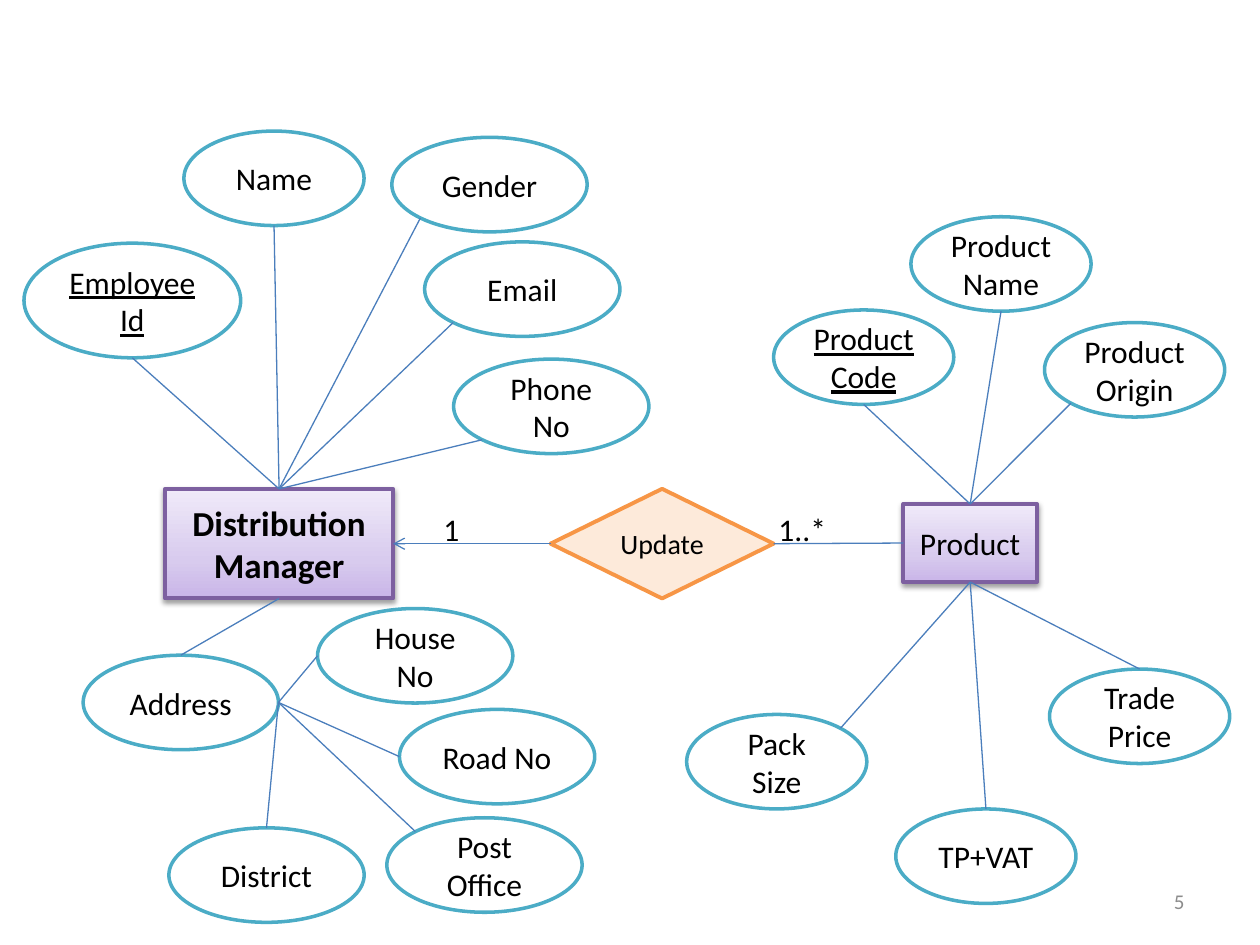
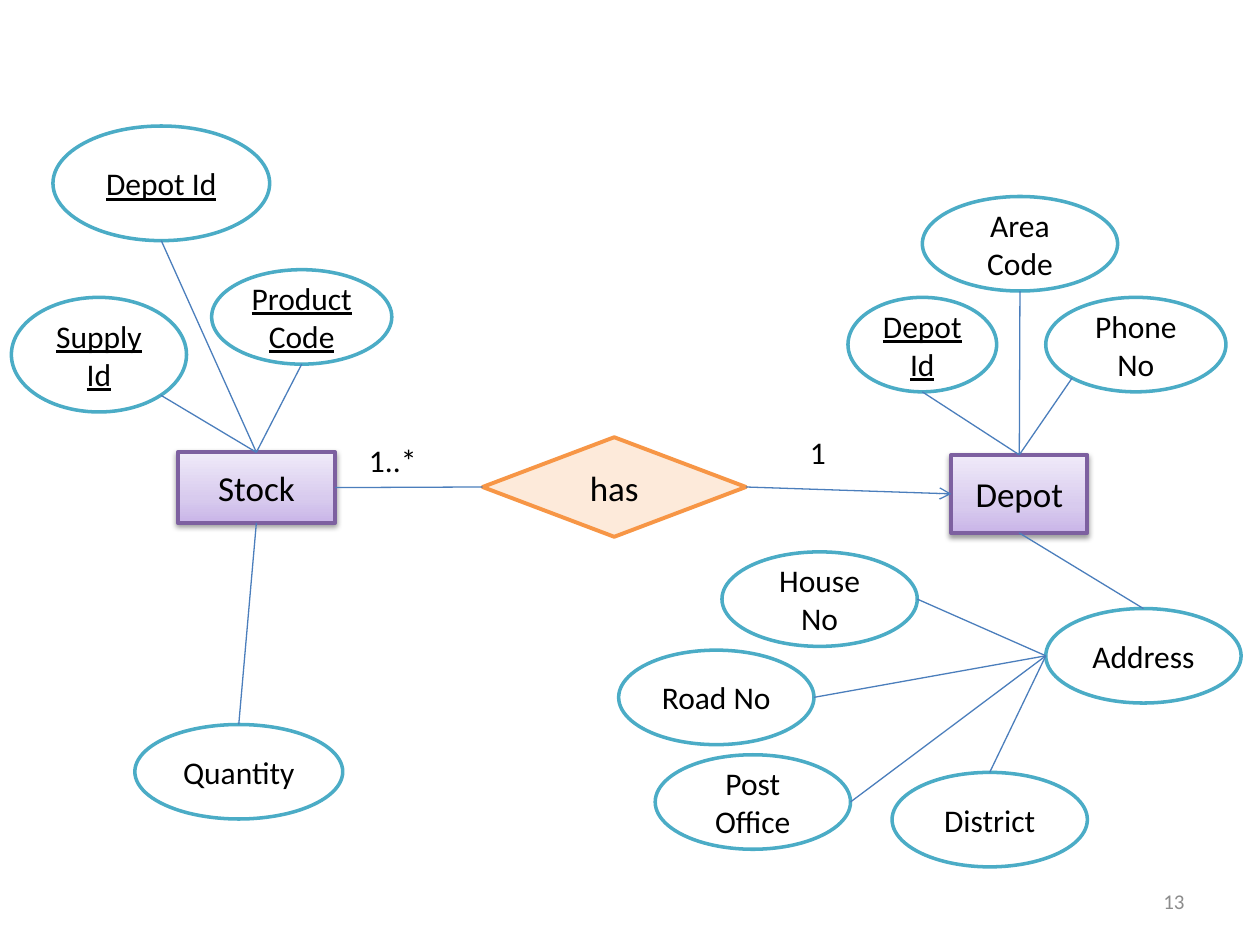
from lxml import etree
from pptx import Presentation
from pptx import util as u
from pptx.dml.color import RGBColor
from pptx.enum import shapes, text
from pptx.oxml import ns

FONT = "Calibri"
INK, GREY = "000000", "8C8C8C"
TEAL, BLUE = "4BACC6", "4B7EBC"
ORANGE, PEACH = "F79646", "FDEADA"
PURPLE, WHITE = "7D60A0", "FFFFFF"
FADE = [(0, "C9B5E8"), (35, "D8CBEE"), (100, "F0EAF9")]
SHAPE, ALIGN = shapes.MSO_SHAPE, text.PP_ALIGN
MID, TOP = text.MSO_ANCHOR.MIDDLE, text.MSO_ANCHOR.TOP

DIAG = 0.5 ** 0.5
SIDES = {"N": (0, -1), "S": (0, 1), "W": (-1, 0), "E": (1, 0),
         "NW": (-DIAG, -DIAG), "NE": (DIAG, -DIAG),
         "SW": (-DIAG, DIAG), "SE": (DIAG, DIAG)}


def color(code):
    return RGBColor.from_string(code)


def child(node, tag, **attrs):
    return etree.SubElement(node, ns.qn(tag), {k: str(v) for k, v in attrs.items()})


def write(item, words, size, align=ALIGN.CENTER, ink=INK, anchor=MID,
          bold=False, under=False):
    frame = item.text_frame
    frame.word_wrap = True
    frame.vertical_anchor = anchor
    para = frame.paragraphs[0]
    para.alignment = align
    run = para.add_run()
    run.text = words
    font = run.font
    font.name, font.size = FONT, u.Pt(size)
    font.bold, font.underline = bold, under
    font.color.rgb = color(ink)


def shape(slide, kind, area, edge, width, fill=None):
    item = slide.shapes.add_shape(kind, *map(u.Inches, area))
    item.shadow.inherit = False
    item.line.color.rgb = color(edge)
    item.line.width = u.Pt(width)
    if fill:
        item.fill.solid()
        item.fill.fore_color.rgb = color(fill)
    return item


def label(slide, words, area, size=18, **style):
    box = slide.shapes.add_textbox(*map(u.Inches, area))
    write(box, words, size, **style)


def count(slide, words, x, y):
    """Cardinality beside a relation line."""
    label(slide, words, (x, y, 0.67, 0.4), align=ALIGN.LEFT, anchor=TOP)


def entity(slide, words, area, size=20, bold=False):
    """Box with a purple fade and a soft shadow."""
    box = shape(slide, SHAPE.RECTANGLE, area, PURPLE, 2.25)
    box.fill.gradient()
    box.fill.gradient_angle = 90
    props = box._element.spPr
    stops = props.find(".//" + ns.qn("a:gsLst"))
    for stop in list(stops):
        stops.remove(stop)
    for pos, code in FADE:
        child(child(stops, "a:gs", pos=pos * 1000), "a:srgbClr", val=code)
    shade = child(props.find(ns.qn("a:effectLst")), "a:outerShdw", blurRad=u.Pt(3.1),
                  dist=u.Pt(1.6), dir=5400000, rotWithShape=0)
    child(child(shade, "a:srgbClr", val=INK), "a:alpha", val=38000)
    write(box, words, size, bold=bold)
    return box


def relate(slide, words, area, size):
    """Diamond that names a relation."""
    gem = shape(slide, SHAPE.FLOWCHART_DECISION, area, ORANGE, 2.25, PEACH)
    write(gem, words, size)
    return gem


def point(item, side):
    """Spot on the outline; diagonal sides suit ovals."""
    dx, dy = SIDES[side]
    return (round(item.left + item.width * (1 + dx) / 2),
            round(item.top + item.height * (1 + dy) / 2))


def link(slide, start, out, end, into, arrow=False):
    line = slide.shapes.add_connector(shapes.MSO_CONNECTOR.STRAIGHT,
                                      *point(start, out), *point(end, into))
    line.line.color.rgb = color(BLUE)
    line.line.width = u.Pt(0.75)
    if arrow:
        child(line.line._get_or_add_ln(), "a:tailEnd", type="arrow")
    child(line._element.spPr, "a:effectLst")


def field(slide, host, into, words, x, y, out, w=1.55, h=0.75, key=False):
    """Attribute oval, tied to its host; keys are underlined."""
    oval = shape(slide, SHAPE.OVAL, (x, y, w, h), TEAL, 2, WHITE)
    write(oval, words, 18, under=key)
    link(slide, oval, out, host, into)
    return oval


def start(deck, number):
    slide = deck.slides.add_slide(deck.slide_layouts[6])
    label(slide, number, (7.17, 6.95, 2.33, 0.4), 12, align=ALIGN.RIGHT, ink=GREY)
    return slide


def update(deck):
    slide = start(deck, "5")
    boss = entity(slide, "Distribution Manager", (1.31, 3.88, 1.81, 0.87), bold=True)
    gem = relate(slide, "Update", (4.37, 3.88, 1.77, 0.87), 16)
    goods = entity(slide, "Product", (7.17, 4, 1.06, 0.62), 18)
    link(slide, goods, "W", gem, "E")
    link(slide, gem, "W", boss, "E", arrow=True)

    field(slide, goods, "N", "Product Code", 6.14, 2.46, "S", 1.43, key=True)
    for into, words, x, y, out in [
            ("N", "Product Name", 7.23, 1.72, "S"),
            ("N", "Product Origin", 8.29, 2.56, "SW"),
            ("S", "Pack Size", 5.45, 5.67, "NE"),
            ("S", "Trade Price", 8.33, 5.31, "N"),
            ("S", "TP+VAT", 7.11, 6.42, "N")]:
        field(slide, goods, into, words, x, y, out, 1.43)

    field(slide, boss, "N", "Employee Id", 0.19, 1.93, "S", 1.72, 0.91, key=True)
    field(slide, boss, "N", "Name", 1.46, 1.04, "S", 1.43)
    for words, x, y in [("Phone No", 3.6, 2.85), ("Email", 3.37, 1.92),
                        ("Gender", 3.11, 1.09)]:
        field(slide, boss, "N", words, x, y, "SW")

    home = field(slide, boss, "S", "Address", 0.66, 5.2, "N")
    for words, x, y, out in [
            ("House No", 2.52, 4.83, "W"), ("Road No", 3.17, 5.63, "W"),
            ("District", 1.34, 6.57, "N"), ("Post Office", 3.07, 6.49, "NW")]:
        field(slide, home, "E", words, x, y, out)
    count(slide, "1", 3.42, 4)
    count(slide, "1..*", 6.08, 4)


def stock(deck):
    slide = start(deck, "13")
    gem = relate(slide, "has", (3.83, 3.47, 2.09, 0.79), 20)
    store = entity(slide, "Stock", (1.41, 3.59, 1.25, 0.56))
    depot = entity(slide, "Depot", (7.55, 3.61, 1.08, 0.62))
    link(slide, store, "E", gem, "W")
    link(slide, gem, "E", depot, "W", arrow=True)

    for words, x, y, out, w, h in [
            ("Depot Id", 0.42, 1, "S", 1.72, 0.91),
            ("Product Code", 1.68, 2.14, "S", 1.43, 0.75),
            ("Supply Id", 0.09, 2.36, "SE", 1.39, 0.91)]:
        field(slide, store, "N", words, x, y, out, w, h, key=True)
    field(slide, store, "S", "Quantity", 1.07, 5.75, "N", 1.65)

    field(slide, depot, "N", "Depot Id", 6.73, 2.36, "S", 1.18, key=True)
    field(slide, depot, "N", "Area Code", 7.32, 1.56, "S")
    field(slide, depot, "N", "Phone No", 8.3, 2.36, "SW", 1.43)

    home = field(slide, depot, "S", "Address", 8.3, 4.83, "N")
    for words, x, y, out in [
            ("House No", 5.73, 4.38, "E"), ("Road No", 4.91, 5.16, "E"),
            ("District", 7.08, 6.13, "N"), ("Post Office", 5.2, 5.99, "E")]:
        field(slide, home, "W", words, x, y, out)
    count(slide, "1", 6.33, 3.39)
    count(slide, "1..*", 2.83, 3.45)


def main():
    deck = Presentation()
    deck.slide_width, deck.slide_height = u.Inches(10), u.Inches(7.5)
    update(deck)
    stock(deck)
    deck.save("out.pptx")


if __name__ == "__main__":
    main()
